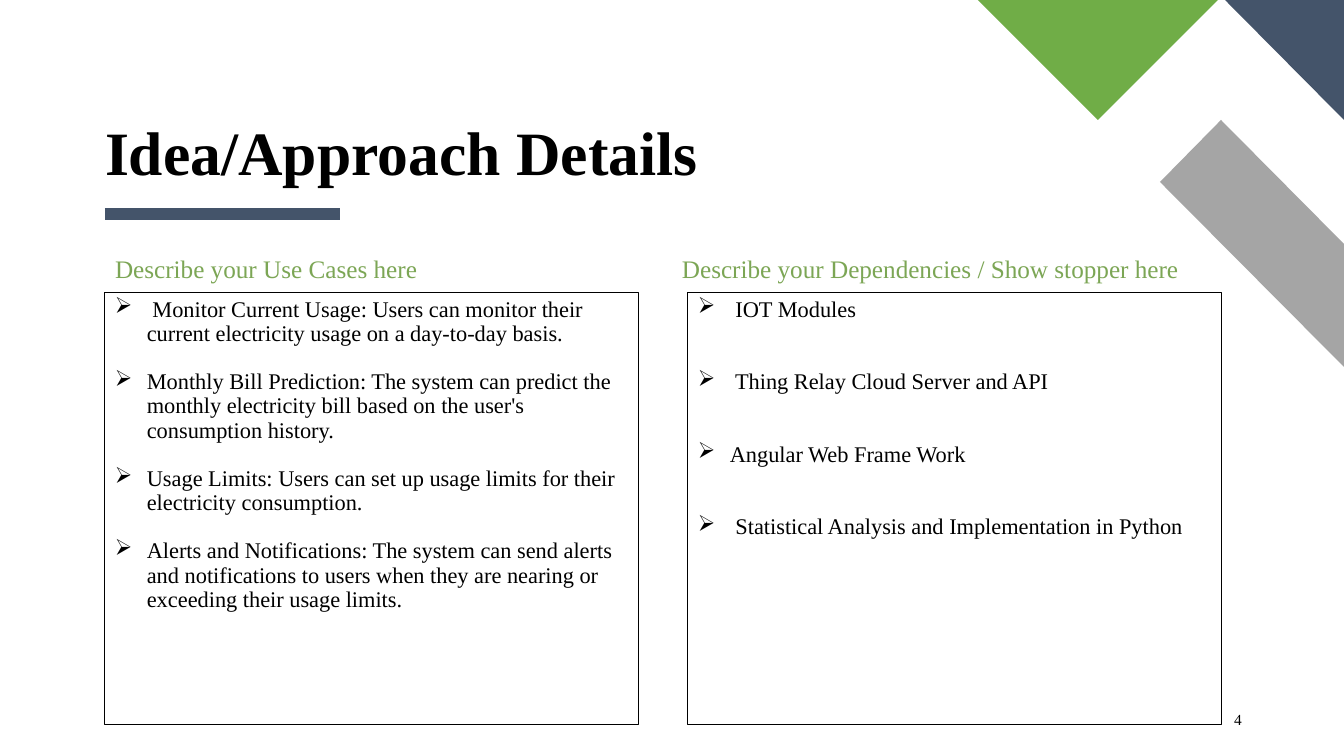
from dataclasses import dataclass

from lxml import etree
from pptx import Presentation
from pptx import util as u
from pptx.dml.color import RGBColor
from pptx.enum import shapes, text
from pptx.oxml import ns

PX = 914400 / 100.8


@dataclass(frozen=True)
class Theme:
    font: str = "Times New Roman"
    ink: RGBColor = RGBColor(0x00, 0x00, 0x00)
    navy: RGBColor = RGBColor(0x44, 0x54, 0x6A)
    gray: RGBColor = RGBColor(0xA5, 0xA5, 0xA5)
    green: RGBColor = RGBColor(0x70, 0xAD, 0x47)
    heading: RGBColor = RGBColor(0x7C, 0xA6, 0x55)
    title_size: int = 44
    heading_size: int = 18
    body_size: int = 16
    number_size: int = 11
    blank_line: float = 17.25


theme = Theme()


def px(*lengths):
    return [u.Emu(round(length * PX)) for length in lengths]


def add_span(para, words, size, color, bold=False):
    span = para.add_run()
    span.text = words
    span.font.name = theme.font
    span.font.size = u.Pt(size)
    span.font.color.rgb = color
    span.font.bold = bold


deck = Presentation()
deck.slide_width, deck.slide_height = px(1344, 756)
page = deck.slides.add_slide(deck.slide_layouts[6])

# Corner decoration
corner = [
    (theme.gray, [(1344, 367), (1344, 244), (1221, 120), (1160, 182)]),
    (theme.navy, [(1344, 120), (1344, 0), (1225, 0)]),
    (theme.green, [(978, 0), (1098, 120), (1218, 0)]),
]
for color, points in corner:
    builder = page.shapes.build_freeform(*points[0], scale=PX)
    builder.add_line_segments(points[1:], close=True)
    piece = builder.convert_to_shape()
    piece.shadow.inherit = False
    piece.fill.solid()
    piece.fill.fore_color.rgb = color
    piece.line.fill.background()

# Title and its underline
underline = page.shapes.add_connector(
    shapes.MSO_CONNECTOR.STRAIGHT, *px(105, 214, 340, 214))
underline.line.color.rgb = theme.navy
underline.line.width = u.Pt(8)
etree.SubElement(underline._element.spPr, ns.qn("a:effectLst"))

# Single-line labels: words, box, size, color, bold, alignment, anchor, inset
left, right = text.PP_ALIGN.LEFT, text.PP_ALIGN.RIGHT
top, middle, bottom = (text.MSO_ANCHOR.TOP, text.MSO_ANCHOR.MIDDLE,
                       text.MSO_ANCHOR.BOTTOM)
labels = [
    ("Idea/Approach Details", (105, 121, 637, 68),
     theme.title_size, theme.ink, True, left, bottom, (0, 0)),
    ("Describe your Use Cases here", (105, 252, 533, 35),
     theme.heading_size, theme.heading, False, left, top, (10, 5)),
    ("Describe your Dependencies / Show stopper here", (672, 252, 567, 35),
     theme.heading_size, theme.heading, False, left, top, (10, 5)),
    ("4", (950, 701, 302, 40),
     theme.number_size, theme.ink, False, right, middle, (10, 5)),
]
for words, area, size, color, bold, align, anchor, inset in labels:
    frame = page.shapes.add_textbox(*px(*area)).text_frame
    frame.word_wrap = True
    frame.vertical_anchor = anchor
    frame.margin_left, frame.margin_top = px(*inset)
    frame.margin_right, frame.margin_bottom = px(*inset)
    para = frame.paragraphs[0]
    para.alignment = align
    para.line_spacing = 0.9
    add_span(para, words, size, color, bold)

# Bulleted panels: left edge, blank lines between items, items
panels = [
    (105, 1, [
        " Monitor Current Usage: Users can monitor their current electricity "
        "usage on a day-to-day basis.",
        "Monthly Bill Prediction: The system can predict the monthly "
        "electricity bill based on the user's consumption history.",
        "Usage Limits: Users can set up usage limits for their electricity "
        "consumption.",
        "Alerts and Notifications: The system can send alerts and "
        "notifications to users when they are nearing or exceeding their "
        "usage limits.",
    ]),
    (688, 2, [
        " IOT Modules",
        " Thing Relay Cloud Server and API",
        "Angular Web Frame Work",
        " Statistical Analysis and Implementation in Python",
    ]),
]
hang, = px(32)
for panel_left, gap_lines, items in panels:
    box = page.shapes.add_shape(
        shapes.MSO_SHAPE.RECTANGLE, *px(panel_left, 293, 534, 432))
    box.shadow.inherit = False
    box.fill.background()
    box.line.color.rgb = theme.ink
    box.line.width = u.Pt(0.75)
    frame = box.text_frame
    frame.word_wrap = True
    frame.vertical_anchor = top
    for index, item in enumerate(items):
        para = frame.add_paragraph() if index else frame.paragraphs[0]
        para.alignment = left
        para.line_spacing = 0.9
        if index:
            para.space_before = u.Pt(gap_lines * theme.blank_line)
        props = para._p.get_or_add_pPr()
        props.set("marL", str(hang))
        props.set("indent", str(-hang))
        bullet_color = etree.SubElement(props, ns.qn("a:buClr"))
        etree.SubElement(bullet_color, ns.qn("a:srgbClr"), val=str(theme.ink))
        etree.SubElement(props, ns.qn("a:buFont"),
                         typeface="Wingdings", charset="2")
        etree.SubElement(props, ns.qn("a:buChar"), char="Ø")
        add_span(para, item, theme.body_size, theme.ink)

deck.save("out.pptx")
